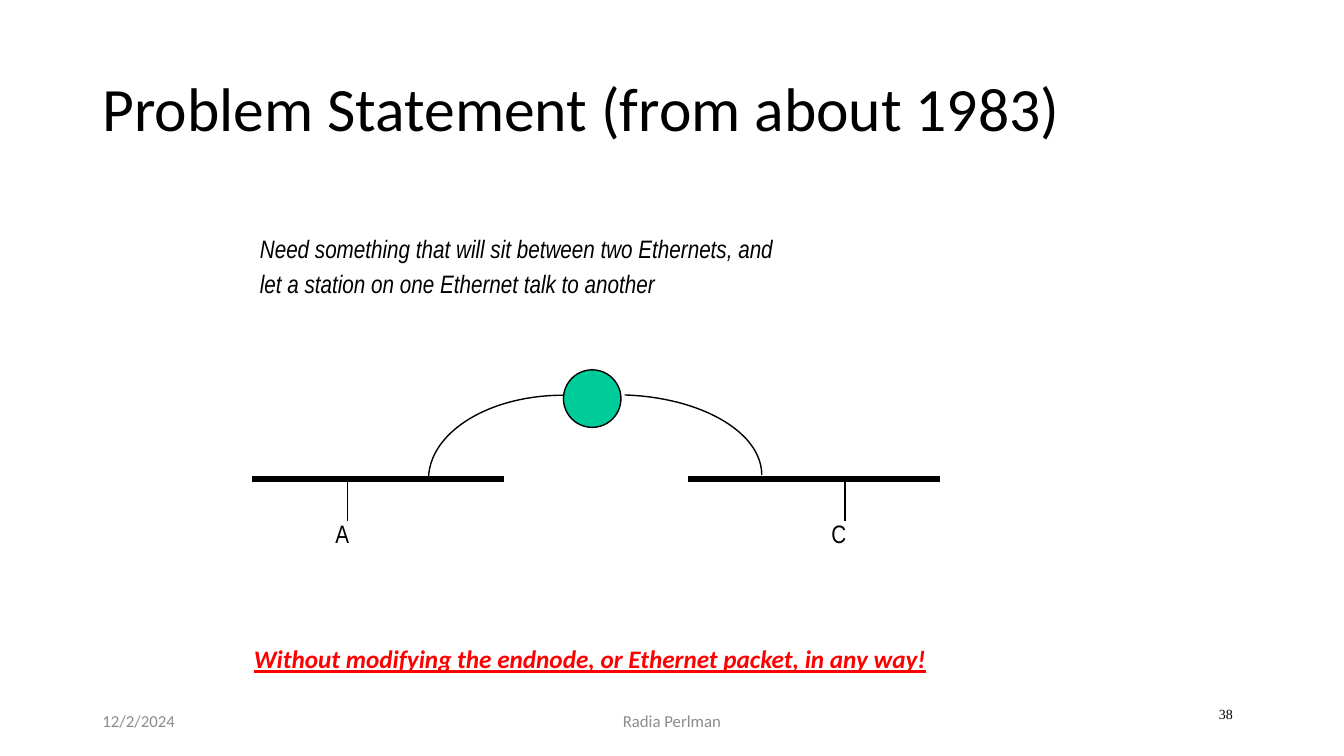
from lxml import etree
from pptx import Presentation
from pptx import util as u
from pptx.dml.color import RGBColor
from pptx.enum import shapes, text
from pptx.oxml.ns import qn

BLACK, GREEN, RED, GRAY = "000000", "00CC99", "FF0000", "8C8C8C"
NARROW = {"name": "Arial Narrow", "size": u.Pt(18)}


def color(value):
    return RGBColor.from_string(value)


def cm(*values):
    return [u.Cm(value) for value in values]


class Sketch:
    """Draws styled elements on the current page."""

    def __init__(self, page):
        self.page = page

    def set_text(self, box, lines, style, ink=BLACK, align="LEFT", anchor="TOP", spacing=1.0):
        frame = box.text_frame
        settings = {
            "word_wrap": True,
            "auto_size": text.MSO_AUTO_SIZE.NONE,
            "vertical_anchor": getattr(text.MSO_ANCHOR, anchor),
        }
        for key, value in settings.items():
            setattr(frame, key, value)
        for index, line in enumerate(lines):
            para = frame.add_paragraph() if index else frame.paragraphs[0]
            para.alignment = getattr(text.PP_ALIGN, align)
            para.line_spacing = spacing
            para.space_before = u.Pt(7.2 if index else 0)
            span = para.add_run()
            span.text = line
            for key, value in style.items():
                setattr(span.font, key, value)
            span.font.color.rgb = color(ink)

    def title(self, place, line, style, **options):
        box = self.page.shapes.title
        box.left, box.top, box.width, box.height = cm(*place)
        self.set_text(box, [line], style, **options)

    def label(self, place, lines, style, **options):
        self.set_text(self.page.shapes.add_textbox(*cm(*place)), lines, style, **options)

    def line(self, start, end, width):
        link = self.page.shapes.add_connector(
            shapes.MSO_CONNECTOR.STRAIGHT, *cm(*start, *end))
        link.line.width = u.Pt(width)
        link.line.color.rgb = color(BLACK)
        etree.SubElement(link._element.spPr, qn("a:effectLst"))

    def outline(self, kind, place, fill=None, angles=()):
        shape = self.page.shapes.add_shape(kind, *cm(*place))
        shape.shadow.inherit = False
        if fill:
            shape.fill.solid()
            shape.fill.fore_color.rgb = color(fill)
        else:
            shape.fill.background()
        shape.line.color.rgb = color(BLACK)
        shape.line.width = u.Pt(1)
        # Preset angles count 60000 per degree; adjustments are scaled by 100000
        for index, angle in enumerate(angles):
            shape.adjustments[index] = angle * 0.6


def main():
    deck = Presentation()
    deck.slide_width, deck.slide_height = cm(33.87, 19.05)
    sketch = Sketch(deck.slides.add_slide(deck.slide_layouts[5]))

    # Title and statement
    sketch.title((2.33, 1.01, 29.21, 3.68), "Problem Statement (from about 1983)",
                 {"name": "Calibri", "size": u.Pt(44)}, anchor="MIDDLE", spacing=0.84)
    sketch.label((6.3, 5.89, 18, 2.18),
                 ["Need something that will sit between two Ethernets, and",
                  "let a station on one Ethernet talk to another"],
                 {**NARROW, "italic": True}, spacing=0.82)

    # Two Ethernets, each with one station
    wire_top = 12.07
    for wire_left, drop, label_left, name in ((6.35, 8.75, 8.2, "A"),
                                              (17.35, 21.29, 20.7, "C")):
        sketch.line((wire_left, wire_top), (wire_left + 6.35, wire_top), 4)
        sketch.line((drop, wire_top), (drop, 13.13), 1)
        sketch.label((label_left, 13.08, 1.02, 1.09), [name], NARROW, spacing=0.82)

    # The joining node and its links
    sketch.outline(shapes.MSO_SHAPE.OVAL, (14.2, 9.32, 1.45, 1.45), fill=GREEN)
    for place, angles in (((10.8, 9.96, 6.77, 4.23), (180, 270)),
                          ((11.86, 9.95, 7.34, 4.04), (276, 0))):
        sketch.outline(shapes.MSO_SHAPE.ARC, place, angles=angles)

    # Condition
    sketch.label((6.15, 16.09, 23.14, 1.27),
                 ["Without modifying the endnode, or Ethernet packet, in any way!"],
                 {"name": "Calibri", "size": u.Pt(18), "bold": True,
                  "italic": True, "underline": True}, ink=RED)

    # Footer
    small = {"name": "Calibri", "size": u.Pt(12)}
    sketch.label((2.33, 17.66, 7.62, 1.01), ["12/2/2024"], small, ink=GRAY, anchor="MIDDLE")
    sketch.label((11.22, 17.66, 11.43, 1.01), ["Radia Perlman"], small,
                 ink=GRAY, align="CENTER", anchor="MIDDLE")
    sketch.label((23.98, 17.36, 7.34, 1.27), ["38"],
                 {"name": "Times New Roman", "size": u.Pt(10)},
                 align="RIGHT", anchor="MIDDLE")

    deck.save("out.pptx")


if __name__ == "__main__":
    main()
